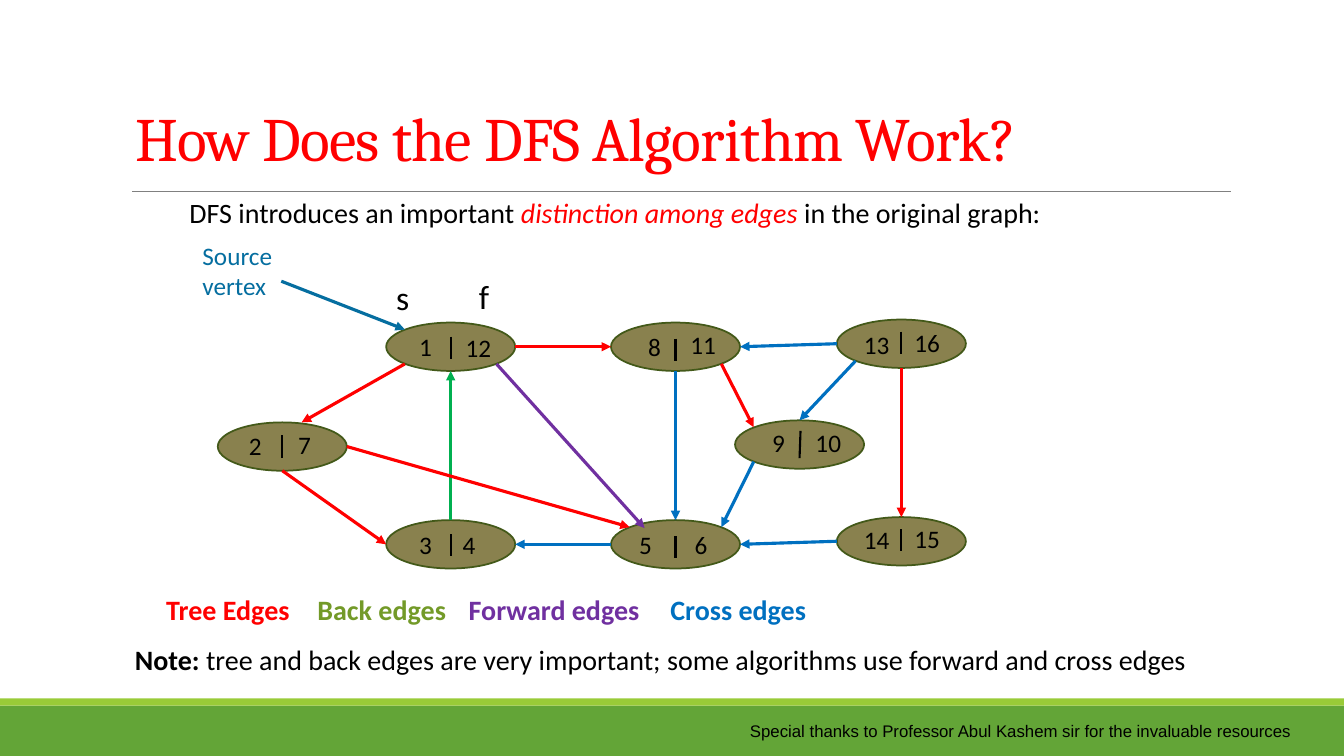
from dataclasses import dataclass

import pptx
import pptx.dml.color
import pptx.enum.shapes
import pptx.enum.text
import pptx.oxml
import pptx.oxml.ns
import pptx.util

Inches = pptx.util.Inches
Pt = pptx.util.Pt
Point = tuple[float, float]


@dataclass(frozen=True)
class Theme:
    black: str = "000000"
    title: str = "FF0000"
    tree: str = "FF0000"
    back: str = "00B050"
    back_label: str = "739A28"
    forward: str = "7030A0"
    cross: str = "0070C0"
    source: str = "056EA0"
    vertex: str = "89814E"
    vertex_line: str = "435919"
    band: str = "63A537"
    band_edge: str = "99CB38"
    rule: str = "808080"
    title_font: str = "Cambria"
    body_font: str = "Calibri"
    credit_font: str = "Arial"
    title_size: float = 44
    mark_size: float = 24
    body_size: float = 20
    label_size: float = 18
    credit_size: float = 12


@dataclass(frozen=True)
class Vertex:
    cx: float
    cy: float
    start: str
    finish: str
    start_at: Point
    finish_at: Point
    bar_dy: float = 0
    bar_h: float = 0.22
    bar_tilt: float = 0


@dataclass(frozen=True)
class Edge:
    tail: str
    tail_site: Point
    head: str
    head_site: Point
    color: str


@dataclass(frozen=True)
class Span:
    text: str
    color: str = "000000"
    bold: bool = False
    italic: bool = False


T = Theme()
VERTEX_W, VERTEX_H = 1.28, 0.48

# Places on an ellipse, in half widths and half heights from its centre
D = 0.71
TOP, BOTTOM, LEFT, RIGHT = (0, -1), (0, 1), (-1, 0), (1, 0)
TOP_LEFT, TOP_RIGHT, BOTTOM_LEFT, BOTTOM_RIGHT = (-D, -D), (D, -D), (-D, D), (D, D)

# Vertices, keyed by discovery time
VERTICES = {v.start: v for v in (
    Vertex(4.47, 3.44, "1", "12", (4.06, 3.24), (4.52, 3.25), 0.01),
    Vertex(6.70, 3.44, "8", "11", (6.33, 3.24), (6.75, 3.22), 0.03),
    Vertex(8.94, 3.41, "13", "16", (8.47, 3.22), (8.97, 3.20), -0.01),
    Vertex(4.47, 5.40, "3", "4", (4.06, 5.20), (4.49, 5.20), 0.01),
    Vertex(6.70, 5.40, "5", "6", (6.24, 5.20), (6.79, 5.20), 0.03),
    Vertex(8.94, 5.37, "14", "15", (8.47, 5.15), (8.97, 5.14), -0.01),
    Vertex(2.80, 4.43, "2", "7", (2.37, 4.22), (2.86, 4.21)),
    Vertex(7.93, 4.41, "9", "10", (7.56, 4.19), (7.99, 4.19), 0, 0.27, 0.01),
)}

EDGES = (
    Edge("1", BOTTOM_LEFT, "2", (0.3, -1), T.tree),
    Edge("2", BOTTOM, "3", LEFT, T.tree),
    Edge("3", TOP, "1", BOTTOM, T.back),
    Edge("2", RIGHT, "5", TOP_LEFT, T.tree),
    Edge("5", LEFT, "3", RIGHT, T.cross),
    Edge("1", BOTTOM_RIGHT, "5", (-0.48, -0.67), T.forward),
    Edge("1", RIGHT, "8", LEFT, T.tree),
    Edge("8", BOTTOM, "5", TOP, T.cross),
    Edge("13", LEFT, "8", RIGHT, T.cross),
    Edge("8", BOTTOM_RIGHT, "9", TOP_LEFT, T.tree),
    Edge("9", BOTTOM_LEFT, "5", TOP_RIGHT, T.cross),
    Edge("14", LEFT, "5", RIGHT, T.cross),
    Edge("13", BOTTOM, "14", TOP, T.tree),
    Edge("13", BOTTOM_LEFT, "9", TOP, T.cross),
)


def rgb(color: str) -> pptx.dml.color.RGBColor:
    return pptx.dml.color.RGBColor.from_string(color)


def write(tf, *lines: list[Span], font: str = T.body_font, size: float = T.body_size) -> None:
    """Fill a text frame, one paragraph for each list of spans."""
    for i, spans in enumerate(lines):
        p = tf.add_paragraph() if i else tf.paragraphs[0]
        p.alignment = pptx.enum.text.PP_ALIGN.LEFT
        for span in spans:
            r = p.add_run()
            r.text = span.text
            r.font.name, r.font.size = font, Pt(size)
            r.font.bold, r.font.italic = span.bold, span.italic
            r.font.color.rgb = rgb(span.color)


def add_text(s, x: float, y: float, w: float, h: float, *lines: list[Span],
             wrap: bool = False, **fmt) -> None:
    tf = s.shapes.add_textbox(Inches(x), Inches(y), Inches(w), Inches(h)).text_frame
    tf.word_wrap = wrap
    tf.auto_size = pptx.enum.text.MSO_AUTO_SIZE.SHAPE_TO_FIT_TEXT
    write(tf, *lines, **fmt)


def add_block(s, kind, x: float, y: float, w: float, h: float, fill: str, line: str = "") -> None:
    sp = s.shapes.add_shape(kind, Inches(x), Inches(y), Inches(w), Inches(h))
    sp.shadow.inherit = False
    sp.fill.solid()
    sp.fill.fore_color.rgb = rgb(fill)
    if line:
        sp.line.color.rgb = rgb(line)
        sp.line.width = Pt(1.25)
    else:
        sp.line.fill.background()


def add_line(s, start: Point, end: Point, color: str, width: float, arrow: bool = False) -> None:
    cx = s.shapes.add_connector(pptx.enum.shapes.MSO_CONNECTOR.STRAIGHT,
                                *(Inches(v) for v in (*start, *end)))
    cx.line.color.rgb = rgb(color)
    cx.line.width = Pt(width)
    sp_pr = cx.line._get_or_add_ln().getparent()
    if arrow:
        tail = pptx.oxml.parse_xml(f'<a:tailEnd {pptx.oxml.ns.nsdecls("a")} type="triangle"/>')
        cx.line._get_or_add_ln().append(tail)
    sp_pr.append(pptx.oxml.parse_xml(f'<a:effectLst {pptx.oxml.ns.nsdecls("a")}/>'))


def site(v: Vertex, place: Point) -> Point:
    return v.cx + place[0] * VERTEX_W / 2, v.cy + place[1] * VERTEX_H / 2


def add_vertex(s, v: Vertex) -> None:
    add_block(s, pptx.enum.shapes.MSO_SHAPE.OVAL, v.cx - VERTEX_W / 2, v.cy - VERTEX_H / 2,
              VERTEX_W, VERTEX_H, T.vertex, T.vertex_line)
    y = v.cy + v.bar_dy
    add_line(s, (v.cx + v.bar_tilt, y - v.bar_h / 2), (v.cx, y + v.bar_h / 2), T.black, 1.5)
    for text, at in ((v.start, v.start_at), (v.finish, v.finish_at)):
        add_text(s, *at, 0.33 if len(text) == 1 else 0.46, 0.4, [Span(text)], size=T.label_size)


def add_title(s, text: str) -> None:
    sp = s.shapes.title
    sp.left, sp.top, sp.width, sp.height = (Inches(v) for v in (1.24, 0.19, 11.46, 1.59))
    tf = sp.text_frame
    tf.word_wrap = True
    tf.auto_size = pptx.enum.text.MSO_AUTO_SIZE.NONE
    tf.vertical_anchor = pptx.enum.text.MSO_ANCHOR.BOTTOM
    write(tf, [Span(text, T.title)], font=T.title_font, size=T.title_size)
    p = tf.paragraphs[0]
    p.line_spacing = 0.85
    p.runs[0].font._element.set("spc", "-50")


def main() -> None:
    prs = pptx.Presentation()
    prs.slide_width, prs.slide_height = Inches(13.33), Inches(7.5)
    s = prs.slides.add_slide(prs.slide_layouts[5])

    # Footer bands, title and rule
    rect = pptx.enum.shapes.MSO_SHAPE.RECTANGLE
    add_block(s, rect, 0, 7, 13.33, 0.5, T.band)
    add_block(s, rect, 0, 6.93, 13.33, 0.07, T.band_edge)
    add_line(s, (1.31, 1.9), (12.21, 1.9), T.rule, 0.5)
    add_title(s, "How Does the DFS Algorithm Work?")
    add_text(s, 7.34, 7.1, 5.73, 0.3,
             [Span("Special thanks to Professor Abul Kashem sir for the invaluable resources")],
             font=T.credit_font, size=T.credit_size)

    # Graph
    for v in VERTICES.values():
        add_vertex(s, v)
    for e in EDGES:
        add_line(s, site(VERTICES[e.tail], e.tail_site), site(VERTICES[e.head], e.head_site),
                 e.color, 2.25, arrow=True)

    # Source pointer and start/finish marks
    add_line(s, (2.79, 2.79), site(VERTICES["1"], TOP_LEFT), T.source, 2.25, arrow=True)
    add_text(s, 1.91, 2.33, 0.96, 0.71, [Span("Source", T.source)], [Span("vertex", T.source)],
             size=T.label_size)
    for mark, x, y in (("s", 3.83, 2.7), ("f", 4.65, 2.69)):
        add_text(s, x, y, 0.38, 0.5, [Span(mark)], wrap=True, size=T.mark_size)

    # Introduction, legend and note
    add_text(s, 1.78, 1.89, 9.39, 0.44,
             [Span("DFS introduces an important "),
              Span("distinction among edges", T.title, italic=True),
              Span(" in the original graph:")], wrap=True)
    add_text(s, 1.55, 5.83, 9.39, 0.44,
             [Span("Tree Edges \t", T.tree, bold=True), Span("Back edges\t", T.back_label, bold=True),
              Span("Forward edges\t", T.forward, bold=True),
              Span("Cross edges", T.cross, bold=True)], wrap=True)
    add_text(s, 1.24, 6.32, 10.94, 0.44,
             [Span("Note: ", bold=True),
              Span("tree and back edges are very important; "
                   "some algorithms use forward and cross edges")], wrap=True)

    prs.save("out.pptx")


if __name__ == "__main__":
    main()
